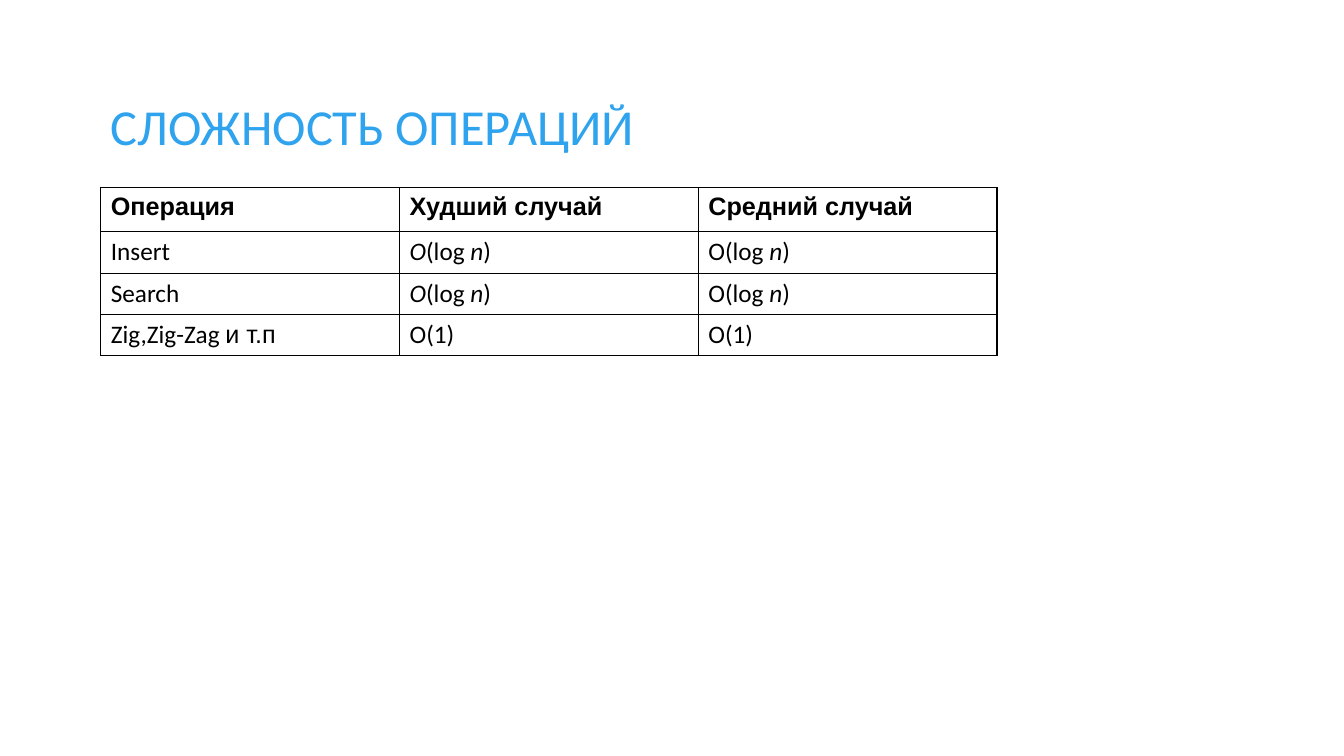
from lxml import etree
from pptx import Presentation
from pptx.dml.color import RGBColor
from pptx.enum.text import MSO_ANCHOR
from pptx.oxml.ns import qn
from pptx.util import Inches, Pt

MIDDLE = MSO_ANCHOR.MIDDLE
COLORS = {"title": "2FA3EE", "text": "000000", "border": "000000"}
HEADING_FONT = "Arial"
BODY_FONT = "Calibri"
BLANK_LAYOUT = 6

COLUMN_WIDTH = 2.963
ROW_HEIGHTS = [0.44, 0.41, 0.41, 0.41]

HEADERS = ["Операция", "Худший случай", "Средний случай"]
# Each run is (text, font, italic).
WORST_LOG = [("O", BODY_FONT, True), ("(log ", BODY_FONT, False),
             ("n", BODY_FONT, True), (")", BODY_FONT, False)]
AVERAGE_LOG = [("O(log ", BODY_FONT, False), ("n", BODY_FONT, True),
               (")", BODY_FONT, False)]
CONSTANT = [("O(1)", BODY_FONT, False)]
OPERATIONS = [
    [[("Insert", BODY_FONT, False)], WORST_LOG, AVERAGE_LOG],
    [[("Search", BODY_FONT, False)], WORST_LOG, AVERAGE_LOG],
    [[("Zig,Zig-Zag ", BODY_FONT, False), ("и т.п", HEADING_FONT, False)],
     CONSTANT, CONSTANT],
]


def add_run(paragraph, text, font, size, color, bold=False, italic=False):
    run = paragraph.add_run()
    run.text = text
    run.font.name = font
    run.font.size = Pt(size)
    run.font.bold = bold
    run.font.italic = italic
    run.font.color.rgb = RGBColor.from_string(COLORS[color])


def add_title(slide, text):
    shape = slide.shapes.add_textbox(Inches(1), Inches(0.71), Inches(11.33), Inches(1.15))
    frame = shape.text_frame
    frame.word_wrap = True
    frame.vertical_anchor = MIDDLE
    paragraph = frame.paragraphs[0]
    paragraph.line_spacing = 0.9
    add_run(paragraph, text, BODY_FONT, 36, "title")


def set_borders(cell):
    properties = cell._tc.get_or_add_tcPr()
    for side in ("lnL", "lnR", "lnT", "lnB"):
        line = etree.SubElement(properties, qn(f"a:{side}"), w=str(Pt(1)))
        fill = etree.SubElement(line, qn("a:solidFill"))
        etree.SubElement(fill, qn("a:srgbClr"), val=COLORS["border"])


def fill_cell(cell, runs, bold):
    set_borders(cell)
    cell.fill.background()
    paragraph = cell.text_frame.paragraphs[0]
    for text, font, italic in runs:
        add_run(paragraph, text, font, 18, "text", bold, italic)


def add_complexity_table(slide):
    rows = [[[(header, HEADING_FONT, False)] for header in HEADERS]] + OPERATIONS
    table = slide.shapes.add_table(
        len(rows), len(HEADERS), Inches(1), Inches(1.86),
        Inches(COLUMN_WIDTH * len(HEADERS)), Inches(sum(ROW_HEIGHTS))).table
    table.first_row = False
    table.horz_banding = False
    for column in table.columns:
        column.width = Inches(COLUMN_WIDTH)
    for row_index, cells in enumerate(rows):
        table.rows[row_index].height = Inches(ROW_HEIGHTS[row_index])
        for column_index, runs in enumerate(cells):
            fill_cell(table.cell(row_index, column_index), runs, bold=row_index == 0)


def main():
    presentation = Presentation()
    presentation.slide_width = Inches(13.33)
    presentation.slide_height = Inches(7.5)
    slide = presentation.slides.add_slide(presentation.slide_layouts[BLANK_LAYOUT])
    add_title(slide, "СЛОЖНОСТЬ ОПЕРАЦИЙ")
    add_complexity_table(slide)
    presentation.save("out.pptx")


if __name__ == "__main__":
    main()
